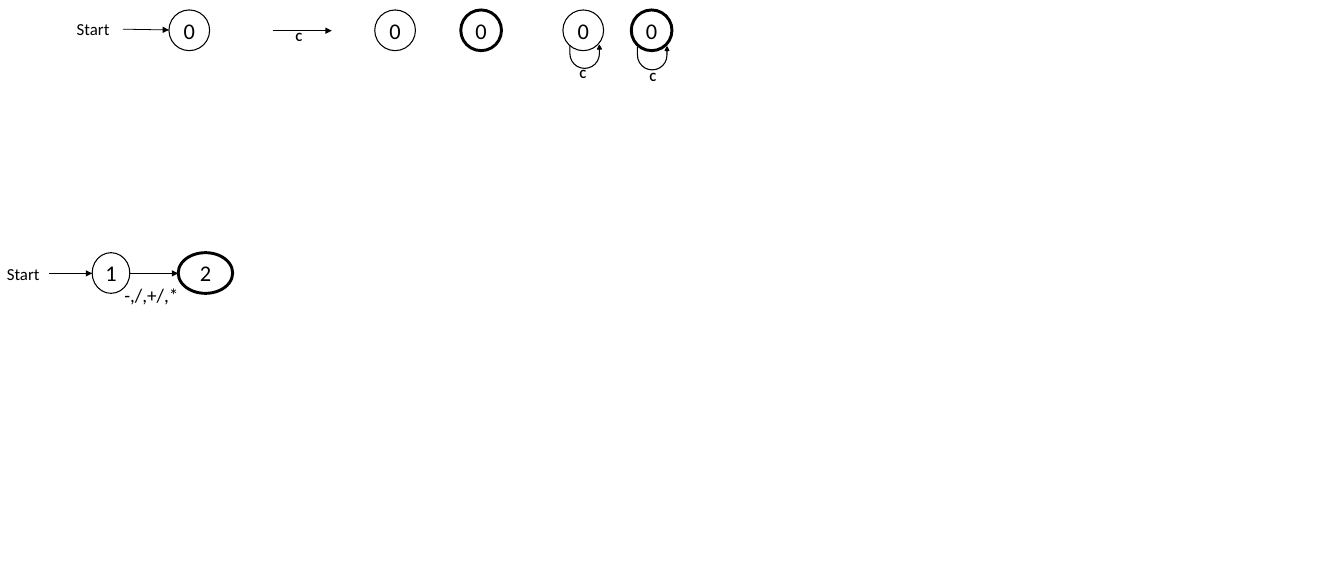
from typing import NamedTuple

from lxml.etree import SubElement
from pptx import Presentation
from pptx.dml.color import RGBColor
from pptx.enum.shapes import MSO_CONNECTOR, MSO_SHAPE
from pptx.enum.text import MSO_ANCHOR, PP_ALIGN
from pptx.oxml.ns import qn
from pptx.shapes.shapetree import GroupShapes
from pptx.util import Inches, Pt

BLACK = RGBColor(0x00, 0x00, 0x00)
WHITE = RGBColor(0xFF, 0xFF, 0xFF)
FONT = "Calibri"
SLIDE_WIDTH, SLIDE_HEIGHT = Inches(17.5), Inches(7.5)
COLUMN, ROW = SLIDE_WIDTH / 175, SLIDE_HEIGHT / 75
STATE_SIZE = 5.3
LEGEND_TOP, AUTOMATON_TOP = 1.3, 32.9
AUTOMATON_AXIS = 35.6
LOOP_ADJUSTMENTS = (0, 0.085, 0.164, 0.717, 1)


class State(NamedTuple):
    """A state circle; positions and sizes in grid columns and rows."""
    name: str
    left: float
    top: float
    accepting: bool = False
    width: float = STATE_SIZE


class Label(NamedTuple):
    """A caption; position and size in grid columns and rows."""
    text: str
    left: float
    top: float
    width: float
    height: float
    size: float
    bold: bool = False


class Arrow(NamedTuple):
    """A straight transition between two grid points."""
    start_column: float
    start_row: float
    end_column: float
    end_row: float


class Loop(NamedTuple):
    """A transition from a state back to itself."""
    left: float
    top: float
    width: float = 4.1
    height: float = 3


def start_label(left: float, top: float, width: float) -> Label:
    """Caption for the start arrow."""
    return Label("Start", left, top, width, 3.7, 15.8)


def symbol_label(left: float, top: float) -> Label:
    """Caption for a transition on one symbol."""
    return Label("C", left, top, 2.2, 3, 11.8, bold=True)


def grid_box(left: float, top: float, width: float, height: float) -> tuple[int, ...]:
    """Convert a box in grid units to slide lengths."""
    return (round(left * COLUMN), round(top * ROW),
            round(width * COLUMN), round(height * ROW))


def draw_state(shapes: GroupShapes, state: State) -> None:
    """Draw a state, with a thick outline if it accepts."""
    shape = shapes.add_shape(
        MSO_SHAPE.OVAL, *grid_box(state.left, state.top, state.width, STATE_SIZE))
    shape.shadow.inherit = False
    shape.fill.background()
    shape.line.color.rgb = BLACK
    shape.line.width = Pt(2.75 if state.accepting else 1)
    frame = shape.text_frame
    frame.margin_left = frame.margin_right = 0
    frame.vertical_anchor = MSO_ANCHOR.MIDDLE
    write(frame.paragraphs[0], state.name, 21).alignment = PP_ALIGN.CENTER


def write(paragraph, text: str, size: float, bold: bool = False):
    """Put text into a paragraph, format it and return the paragraph."""
    paragraph.text = text
    font = paragraph.font
    font.name, font.size, font.bold = FONT, Pt(size), bold
    font.color.rgb = BLACK
    return paragraph


def draw_label(shapes: GroupShapes, label: Label) -> None:
    """Draw a caption as a text box."""
    box = shapes.add_textbox(
        *grid_box(label.left, label.top, label.width, label.height))
    box.text_frame.word_wrap = True
    write(box.text_frame.paragraphs[0], label.text, label.size, label.bold)


def draw_arrow(shapes: GroupShapes, arrow: Arrow) -> None:
    """Draw a transition with an arrowhead at its end."""
    connector = shapes.add_connector(MSO_CONNECTOR.STRAIGHT, *grid_box(*arrow))
    connector.line.color.rgb = BLACK
    connector.line.width = Pt(0.75)
    SubElement(connector.line._get_or_add_ln(), qn("a:tailEnd"), type="triangle")
    SubElement(connector._element.spPr, qn("a:effectLst"))


def draw_loop(shapes: GroupShapes, loop: Loop) -> None:
    """Draw a U-turn arrow that opens upwards."""
    shape = shapes.add_shape(MSO_SHAPE.U_TURN_ARROW, *grid_box(*loop))
    shape.shadow.inherit = False
    for index, value in enumerate(LOOP_ADJUSTMENTS):
        shape.adjustments[index] = value
    shape.fill.solid()
    shape.fill.fore_color.rgb = BLACK
    shape.line.color.rgb = BLACK
    shape.line.width = Pt(1)
    shape.rotation = 180
    shape._element.spPr.get_or_add_xfrm().set("flipH", "1")


DRAWERS = {State: draw_state, Label: draw_label, Arrow: draw_arrow, Loop: draw_loop}

LEGEND = [
    [start_label(9, 2, 7), Arrow(16, 3.8, 22, 3.9), State("0", 22, LEGEND_TOP)],
    [Arrow(35.5, 4, 43.2, 4), symbol_label(37.5, 3.3)],
    [State("0", 48.8, LEGEND_TOP)],
    [State("0", 60, LEGEND_TOP, accepting=True)],
    [State("0", 73.3, LEGEND_TOP), Loop(74.2, 5.9), symbol_label(74.5, 8.1)],
    [State("0", 82.2, LEGEND_TOP, accepting=True), Loop(83, 6.1),
     symbol_label(83.6, 8.5)],
]
AUTOMATON = [
    [start_label(-0.1, 33.8, 6.6), Arrow(6.4, AUTOMATON_AXIS, 12, AUTOMATON_AXIS),
     State("1", 12, AUTOMATON_TOP, width=4.9)],
    [State("2", 23.2, AUTOMATON_TOP, accepting=True, width=7.1)],
    [Arrow(16.9, AUTOMATON_AXIS, 23.2, AUTOMATON_AXIS),
     Label("-,/,+/,*", 15.2, 36.4, 10.7, 4, 18)],
]


def main() -> None:
    """Build the slide and save it."""
    presentation = Presentation()
    presentation.slide_width, presentation.slide_height = SLIDE_WIDTH, SLIDE_HEIGHT
    slide = presentation.slides.add_slide(presentation.slide_layouts[6])
    slide.background.fill.solid()
    slide.background.fill.fore_color.rgb = WHITE
    for parts in LEGEND + AUTOMATON:
        shapes = slide.shapes
        if len(parts) > 1:
            shapes = slide.shapes.add_group_shape().shapes
        for part in parts:
            DRAWERS[type(part)](shapes, part)
    presentation.save("out.pptx")


main()
